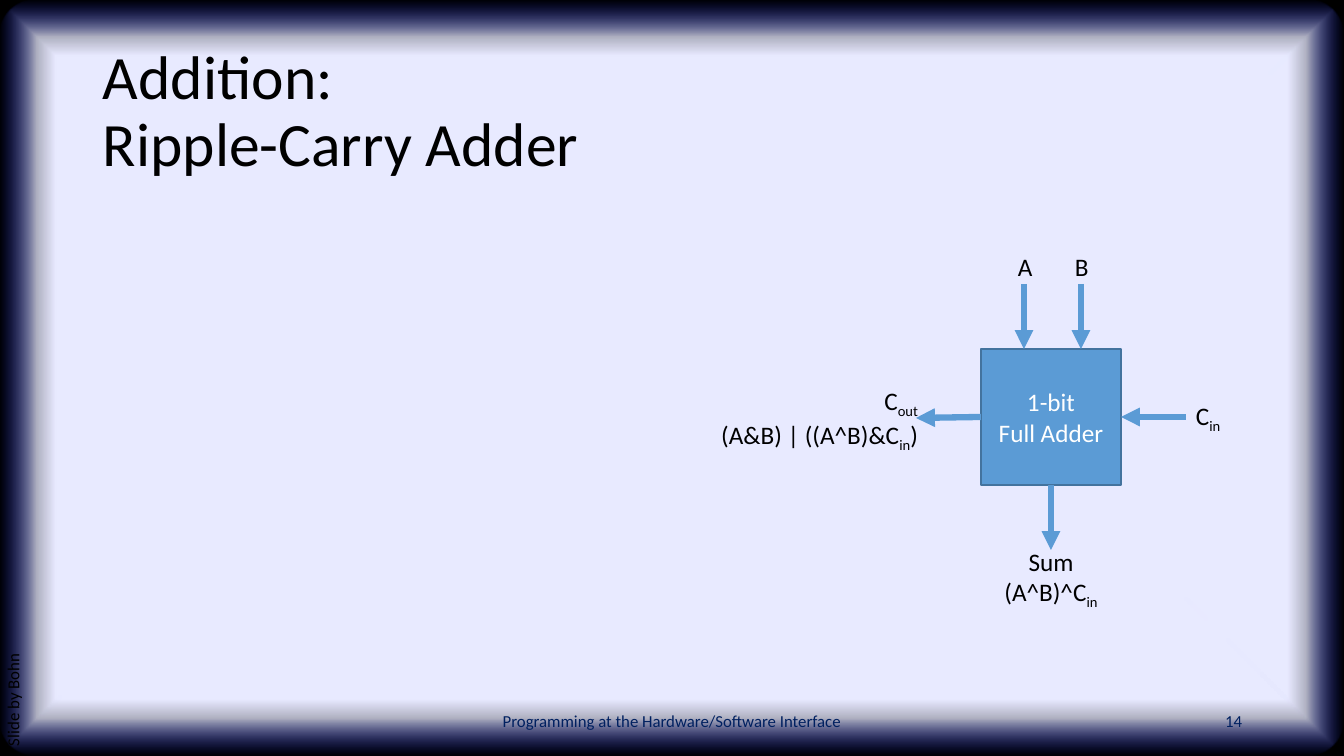
from pptx import Presentation
from pptx.dml.color import RGBColor
from pptx.enum.shapes import MSO_CONNECTOR as LINK, MSO_SHAPE as SHAPE
from pptx.enum.text import MSO_ANCHOR as ANCHOR, PP_ALIGN as ALIGN
from pptx.oxml import parse_xml
from pptx.oxml.ns import nsdecls
from pptx.util import Emu, Pt

WIDTH, HEIGHT = 1344, 756
COLORS = {
    "black": "000000", "white": "FFFFFF", "navy": "002060", "blue": "5B9BD5",
    "edge": "43739E", "glow": "E8EAFF", "rim": "162AFF",
}
GLOW_STOPS = [(85, "glow", 100), (90, "glow", 75), (100, "rim", 0)]
TOP, LEFT, BOTTOM, RIGHT = range(4)


def px(length):
    return Emu(round(length * 914400 / 100.8))


def rgb(name):
    return RGBColor.from_string(COLORS[name])


class SlideBuilder:
    font = "Calibri"

    def __init__(self, slide):
        self.slide = slide
        self.shapes = slide.shapes

    def fill_text(self, frame, paragraphs, size=18, color="black", wrap=True,
                  anchor=ANCHOR.TOP, **paragraph_format):
        """Fill a frame; newlines are line breaks and ~text~ is a subscript."""
        frame.word_wrap = wrap
        frame.vertical_anchor = anchor
        for number, content in enumerate(paragraphs):
            paragraph = frame.add_paragraph() if number else frame.paragraphs[0]
            for name, value in paragraph_format.items():
                setattr(paragraph, name, value)
            for row, line in enumerate(content.split("\n")):
                if row:
                    paragraph.add_line_break()
                for position, part in enumerate(line.split("~")):
                    if part:
                        self.add_run(paragraph, part, size, color, position % 2)

    def add_run(self, paragraph, content, size, color, subscript):
        run = paragraph.add_run()
        run.text = content
        for name, value in {"name": self.font, "size": Pt(size)}.items():
            setattr(run.font, name, value)
        run.font.color.rgb = rgb(color)
        if subscript:
            run.font._element.set("baseline", "-25000")

    def text(self, box, *paragraphs, rotation=0, **style):
        label = self.shapes.add_textbox(*map(px, box))
        label.rotation = rotation
        self.fill_text(label.text_frame, paragraphs, **style)

    def block(self, box, fill, edge=None, kind=SHAPE.RECTANGLE):
        block = self.shapes.add_shape(kind, *map(px, box))
        block.shadow.inherit = False
        block.fill.solid()
        block.fill.fore_color.rgb = rgb(fill)
        if edge:
            block.line.color.rgb = rgb(edge)
            block.line.width = Pt(1)
        else:
            block.line.fill.background()
        return block

    def glow(self, box):
        """Draw a rounded panel that fades out towards its rim."""
        panel = self.block(box, "glow", kind=SHAPE.ROUNDED_RECTANGLE)
        panel.adjustments[0] = 0.05
        stops = "".join(
            f'<a:gs pos="{place * 1000}"><a:srgbClr val="{COLORS[color]}">'
            f'<a:alpha val="{alpha * 1000}"/></a:srgbClr></a:gs>'
            for place, color, alpha in GLOW_STOPS)
        gradient = parse_xml(
            f'<a:gradFill {nsdecls("a")} rotWithShape="1"><a:gsLst>{stops}</a:gsLst>'
            '<a:path path="shape"><a:fillToRect l="50000" t="50000" r="50000" b="50000"/>'
            '</a:path></a:gradFill>')
        properties = panel._element.spPr
        properties.replace(properties.find("{*}solidFill"), gradient)

    def arrow(self, start, end, start_site=None, end_site=None):
        """Draw an arrow; a site is a (shape, side) pair to join."""
        arrow = self.shapes.add_connector(LINK.STRAIGHT, *map(px, start + end))
        if start_site:
            arrow.begin_connect(*start_site)
        if end_site:
            arrow.end_connect(*end_site)
        arrow.line.color.rgb = rgb("blue")
        arrow.line.width = Pt(4.5)
        arrow.line._get_or_add_ln().append(
            parse_xml(f'<a:tailEnd {nsdecls("a")} type="triangle"/>'))
        arrow._element.spPr.append(parse_xml(f'<a:effectLst {nsdecls("a")}/>'))


def build_frame(builder):
    page = (0, 0, WIDTH, HEIGHT)
    builder.block(page, "black")
    builder.glow(page)
    builder.text((93, 40, 1159, 146), "Addition:\nRipple-Carry Adder",
                 size=44, anchor=ANCHOR.MIDDLE, line_spacing=0.9)
    footer = {"size": 12, "color": "navy", "anchor": ANCHOR.MIDDLE}
    builder.text((445, 701, 454, 40), "Programming at the Hardware/Software Interface",
                 alignment=ALIGN.CENTER, **footer)
    builder.text((950, 701, 302, 40), "14", alignment=ALIGN.RIGHT, **footer)
    builder.text((-246, 470, 532, 40), "Slide by Bohn",
                 rotation=270, size=12, line_spacing=0.9)


def build_adder(builder):
    left, top, width, height = box = (981, 349, 140, 136)
    right, bottom = left + width, top + height
    center, middle = left + width // 2, top + height // 2
    reach = 65

    adder = builder.block(box, "blue", "edge")
    builder.fill_text(adder.text_frame, ["1-bit\nFull Adder"], color="white",
                      anchor=ANCHOR.MIDDLE, alignment=ALIGN.CENTER)

    for operand, x in {"A": 1024, "B": 1081}.items():
        builder.arrow((x, top - reach), (x, top))
        builder.text((x - 16, 246, 35, 40), operand, wrap=False)

    builder.arrow((right + reach, middle), (right, middle), end_site=(adder, RIGHT))
    builder.arrow((left, middle), (left - reach, middle + 1), start_site=(adder, LEFT))
    builder.arrow((center, bottom), (center, bottom + reach), start_site=(adder, BOTTOM))

    builder.text((1186, 395, 46, 40), "C~in~", wrap=False)
    builder.text((707, 380, 221, 72), "C~out~", "(A&B) | ((A^B)&C~in~)",
                 wrap=False, alignment=ALIGN.RIGHT)
    builder.text((993, 541, 116, 72), "Sum", "(A^B)^C~in~",
                 wrap=False, alignment=ALIGN.CENTER)


def main():
    deck = Presentation()
    deck.slide_width, deck.slide_height = px(WIDTH), px(HEIGHT)
    builder = SlideBuilder(deck.slides.add_slide(deck.slide_layouts[6]))
    build_frame(builder)
    build_adder(builder)
    deck.save("out.pptx")


if __name__ == "__main__":
    main()
